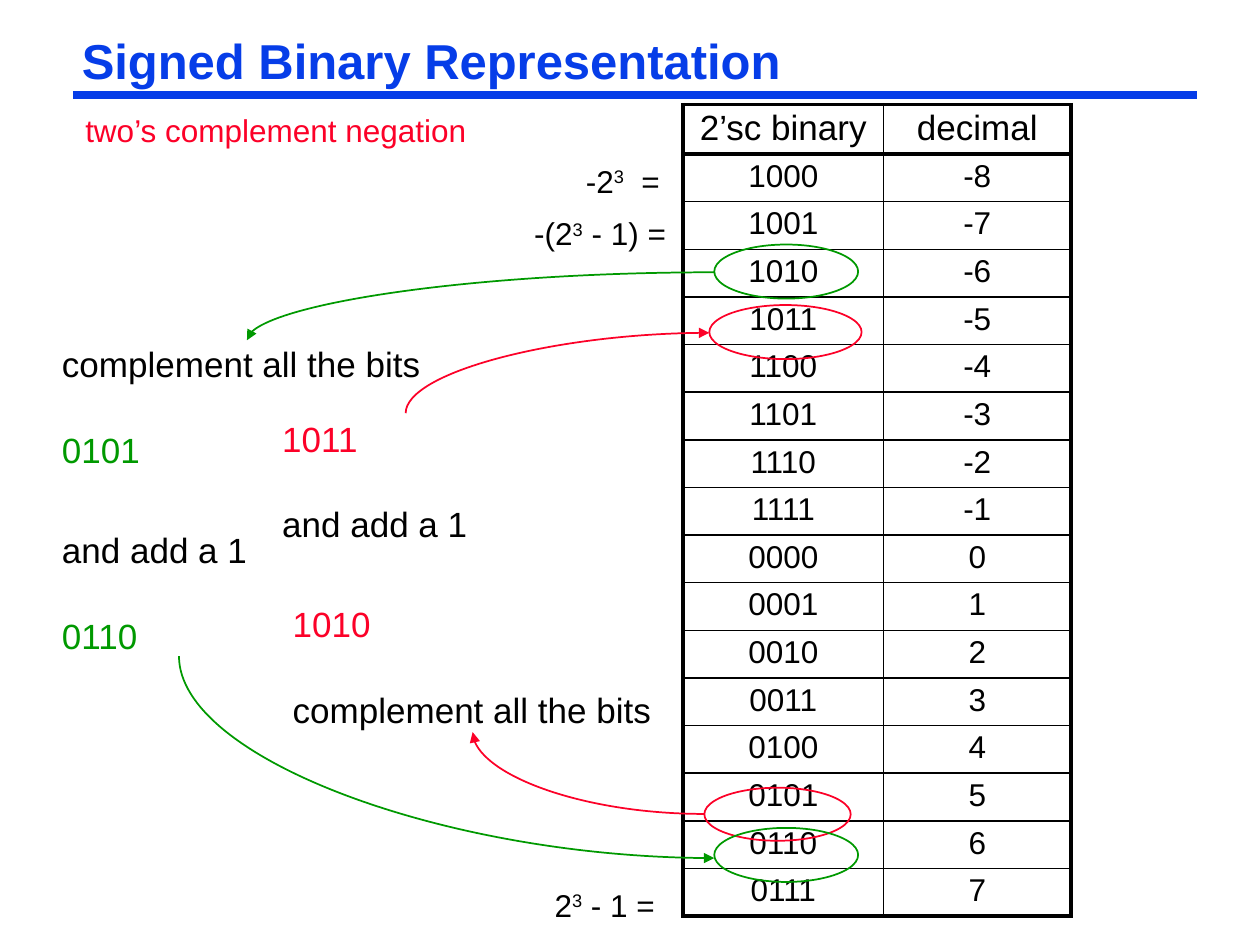
from lxml.etree import SubElement
from pptx import Presentation
from pptx.dml.color import RGBColor
from pptx.enum.shapes import MSO_CONNECTOR, MSO_SHAPE
from pptx.enum.text import PP_ALIGN
from pptx.oxml.ns import qn
from pptx.util import Cm, Pt

COLORS = {"blue": "063DE8", "red": "FC0128", "green": "009900", "black": "000000"}
FONT = "Arial"
THICK, THIN = 2.25, 1
BITS = 4


def rgb(name):
    return RGBColor.from_string(COLORS[name])


def add_text(p, text, size=18, color="black", bold=False, raised=False):
    r = p.add_run()
    r.text = text
    r.font.name = FONT
    r.font.size = Pt(size)
    r.font.bold = bold
    r.font.color.rgb = rgb(color)
    if raised:
        r.font._element.set("baseline", "30000")


def add_box(s, x, y, w, h, wrap=True, inset=(0.18, 0.08)):
    tf = s.shapes.add_textbox(Cm(x), Cm(y), Cm(w), Cm(h)).text_frame
    tf.word_wrap = wrap
    tf.margin_left = tf.margin_right = Cm(inset[0])
    tf.margin_top = tf.margin_bottom = Cm(inset[1])
    return tf


def add_power_label(s, x, y, w, before, after):
    p = add_box(s, x, y, w, 0.91, wrap=False).paragraphs[0]
    add_text(p, before)
    add_text(p, "3", raised=True)
    add_text(p, after)


def add_step(s, x, y, w, *lines):
    tf = add_box(s, x, y, w, 2.69)
    for i, (text, color) in enumerate(lines):
        p = tf.add_paragraph() if i else tf.paragraphs[0]
        if i:
            p.space_before = Pt(25)
        add_text(p, text, size=20, color=color)


def add_line(s, kind, start, end, color, width):
    x1, y1 = start
    x2, y2 = end
    cxn = s.shapes.add_connector(kind, Cm(x1), Cm(y1), Cm(x2), Cm(y2))
    cxn.line.color.rgb = rgb(color)
    cxn.line.width = Pt(width)
    SubElement(cxn._element.spPr, qn("a:effectLst"))
    return cxn


def add_curve(s, start, end, color, arrow):
    """Quarter curve leaving an ellipse sideways; arrow is headEnd or tailEnd."""
    cxn = add_line(s, MSO_CONNECTOR.CURVE, start, end, color, THIN)
    cxn._element.spPr.find(qn("a:prstGeom")).set("prst", "curvedConnector2")
    SubElement(cxn.line._get_or_add_ln(), qn(f"a:{arrow}"), type="triangle")


def add_ellipse(s, x, y, w, h, color):
    sp = s.shapes.add_shape(MSO_SHAPE.OVAL, Cm(x), Cm(y), Cm(w), Cm(h))
    sp.shadow.inherit = False
    sp.fill.background()
    sp.line.color.rgb = rgb(color)
    sp.line.width = Pt(THIN)


def set_borders(cell, **widths):
    tcPr = cell._tc.get_or_add_tcPr()
    for side, width in widths.items():
        ln = SubElement(tcPr, qn(f"a:ln{side}"), w=str(Pt(width)))
        fill = SubElement(ln, qn("a:solidFill"))
        SubElement(fill, qn("a:srgbClr"), val=COLORS["black"])


def add_number_table(s):
    half = 2 ** (BITS - 1)
    rows = [("2’sc binary", "decimal")]
    rows += [(f"{n % (2 * half):0{BITS}b}", str(n)) for n in range(-half, half)]
    last = len(rows) - 1
    table = s.shapes.add_table(len(rows), 2, Cm(13.77), Cm(2.11),
                               Cm(7.82), Cm(16.34)).table
    table.first_row = table.horz_banding = False
    for col, width in zip(table.columns, (4.04, 3.78)):
        col.width = Cm(width)
    for i, values in enumerate(rows):
        table.rows[i].height = Cm(0.96 if i else 0.98)
        for j, text in enumerate(values):
            cell = table.cell(i, j)
            cell.margin_top, cell.margin_bottom = Cm(0.13), Cm(0.06)
            set_borders(cell,
                        L=THIN if j else THICK,
                        R=THICK if j else THIN,
                        T=THICK if i < 2 else THIN,
                        B=THICK if i in (0, last) else THIN)
            cell.fill.background()
            p = cell.text_frame.paragraphs[0]
            p.alignment = PP_ALIGN.CENTER
            p.line_spacing = 0.95
            add_text(p, text, size=18 if i else 20)


def main():
    prs = Presentation()
    prs.slide_width, prs.slide_height = Cm(25.4), Cm(19.05)
    s = prs.slides.add_slide(prs.slide_layouts[6])

    # Title and rule
    add_line(s, MSO_CONNECTOR.STRAIGHT, (1.47, 1.91), (24.13, 1.91), "blue", 4.5)
    p = add_box(s, 1.47, 0.7, 22.66, 1.17).paragraphs[0]
    p.line_spacing = 0.87
    add_text(p, "Signed Binary Representation", size=28, color="blue", bold=True)

    # Number table and its limits
    add_number_table(s)
    add_power_label(s, 11, 17.78, 2.41, "2", " - 1 =")
    add_power_label(s, 10.59, 4.24, 3.05, "-(2", " - 1) =")
    add_power_label(s, 11.63, 3.18, 1.88, "-2", "  =")

    # Negating 5 (red)
    add_step(s, 5.72, 12.07, 7.62, ("1010", "red"), ("complement all the bits", "black"))
    add_curve(s, (14.2, 16.41), (9.53, 14.76), "red", "tailEnd")
    add_ellipse(s, 14.2, 15.88, 2.95, 1.07, "red")
    add_curve(s, (14.3, 6.71), (8.18, 8.33), "red", "headEnd")
    add_ellipse(s, 14.3, 6.15, 3.07, 1.09, "red")
    add_step(s, 5.51, 8.33, 5.36, ("1011", "red"), ("and add a 1", "black"))

    # Negating -6 (green)
    add_ellipse(s, 14.4, 4.93, 2.9, 1.09, "green")
    add_step(s, 1.07, 6.83, 7.82, ("complement all the bits", "black"), ("0101", "green"))
    add_curve(s, (14.4, 5.49), (4.98, 6.86), "green", "tailEnd")
    add_step(s, 1.07, 10.57, 5.08, ("and add a 1", "black"), ("0110", "green"))
    add_ellipse(s, 14.4, 16.69, 2.9, 1.09, "green")
    add_curve(s, (14.4, 17.3), (3.61, 13.23), "green", "headEnd")

    # Subtitle
    tf = add_box(s, 1.47, 2.11, 9.32, 1.02, inset=(0.25, 0.13))
    add_text(tf.paragraphs[0], "two’s complement negation", color="red")

    prs.save("out.pptx")


if __name__ == "__main__":
    main()
